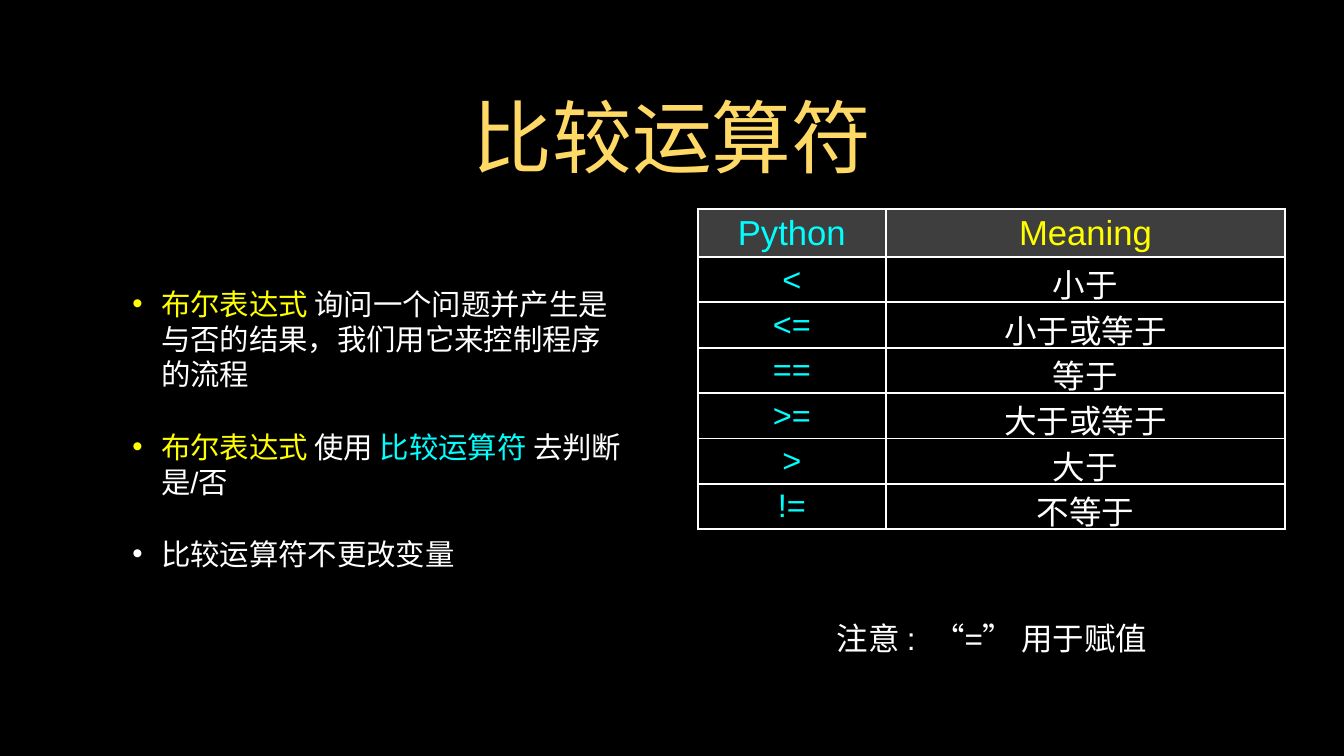
from lxml.etree import SubElement
from pptx import Presentation
from pptx.dml.color import RGBColor
from pptx.enum.shapes import MSO_SHAPE as Shape
from pptx.enum.text import MSO_ANCHOR as Anchor, PP_ALIGN as Align
from pptx.oxml import parse_xml
from pptx.oxml.ns import nsdecls, qn
from pptx.util import Inches, Pt

BLACK = RGBColor(0x00, 0x00, 0x00)
WHITE = RGBColor(0xFF, 0xFF, 0xFF)
GOLD = RGBColor(0xFF, 0xD9, 0x66)
YELLOW = RGBColor(0xFF, 0xFF, 0x00)
CYAN = RGBColor(0x00, 0xFF, 0xFF)
GRAY = RGBColor(0x7F, 0x7F, 0x7F)

FONT = "Arial"
INSET = 0.04

BULLETS = [
    [("布尔表达式 ", YELLOW), ("询问一个问题并产生是与否的结果，我们用它来控制程序的流程", WHITE)],
    [("布尔表达式", YELLOW), (" 使用 ", WHITE), ("比较运算符", CYAN), (" 去判断是/否", WHITE)],
    [("比较运算符不更改变量", WHITE)],
]
OPERATORS = [
    ("Python", "Meaning"),
    ("<", "小于"),
    ("<=", "小于或等于"),
    (" == ", "等于"),
    (">=", "大于或等于"),
    (">", "大于"),
    ("!=", "不等于"),
]


def style_span(span, size, color):
    """Set the font, size and colour of a run."""
    span.font.name = FONT
    span.font.size = Pt(size)
    span.font.color.rgb = color


def set_insets(target, inset):
    """Give a text frame or table cell four equal margins."""
    target.margin_left = target.margin_right = Inches(inset)
    target.margin_top = target.margin_bottom = Inches(inset)


def add_footer_band(page, box):
    """Place the plain black band along the foot of the slide."""
    band = page.shapes.add_shape(Shape.RECTANGLE, *map(Inches, box))
    band.shadow.inherit = False
    band.fill.solid()
    band.fill.fore_color.rgb = BLACK
    band.line.fill.background()


def add_frame(page, box, inset):
    """Add a wrapping, vertically centred text box and return its frame."""
    frame = page.shapes.add_textbox(*map(Inches, box)).text_frame
    frame.word_wrap = True
    frame.vertical_anchor = Anchor.MIDDLE
    set_insets(frame, inset)
    return frame


def add_line(page, box, text, size, color, inset):
    """Add one centred line of text in the box."""
    frame = add_frame(page, box, inset)
    frame.text = text
    para = frame.paragraphs[0]
    para.alignment = Align.CENTER
    style_span(para.runs[0], size, color)


def add_bullet_mark(para, color):
    """Give a paragraph a hanging indent and a coloured bullet."""
    props = para._p.get_or_add_pPr()
    props.set("marL", str(Inches(0.82)))
    props.set("indent", str(Inches(-0.38)))
    SubElement(SubElement(props, qn("a:buClr")), qn("a:srgbClr"), val=str(color))
    SubElement(props, qn("a:buFont"), typeface=FONT)
    SubElement(props, qn("a:buChar"), char="•")


def add_bullets(page, box):
    """Place the bulleted explanation in the box."""
    frame = add_frame(page, box, INSET)
    for index, spans in enumerate(BULLETS):
        para = frame.add_paragraph() if index else frame.paragraphs[0]
        para.space_before = Pt(35 if index else 0)
        add_bullet_mark(para, spans[0][1])
        for text, color in spans:
            span = para.add_run()
            span.text = text
            style_span(span, 28, color)


def add_borders(cell):
    """Draw a white line on every side of a cell."""
    props = cell._tc.get_or_add_tcPr()
    for index, side in enumerate("LRTB"):
        props.insert(index, parse_xml(
            f'<a:ln{side} {nsdecls("a")} w="{Pt(2)}"><a:solidFill>'
            f'<a:srgbClr val="{WHITE}"/></a:solidFill></a:ln{side}>'))


def fill_header(cell):
    """Fill a header cell with translucent gray."""
    cell.fill.solid()
    cell.fill.fore_color.rgb = GRAY
    tint = cell._tc.tcPr.find(qn("a:solidFill")).find(qn("a:srgbClr"))
    SubElement(tint, qn("a:alpha"), val="49000")


def add_operator_table(page, box):
    """Place the table of operators and meanings in the box."""
    table = page.shapes.add_table(len(OPERATORS), 2, *map(Inches, box)).table
    table.first_row = table.horz_banding = False
    for column, width in zip(table.columns, (2.49, 5.28)):
        column.width = Inches(width)
    for index, texts in enumerate(OPERATORS):
        is_header = index == 0
        table.rows[index].height = Inches(0.63 if is_header else 0.6)
        colors = (CYAN, YELLOW if is_header else WHITE)
        for cell, text, color in zip(table.rows[index].cells, texts, colors):
            cell.text = text
            cell.vertical_anchor = Anchor.MIDDLE
            set_insets(cell, INSET)
            para = cell.text_frame.paragraphs[0]
            para.alignment = Align.CENTER
            style_span(para.runs[0], 33 if is_header else 31, color)
            add_borders(cell)
            if is_header:
                fill_header(cell)
            else:
                cell.fill.background()


def main():
    """Build the comparison operators slide and save it."""
    deck = Presentation()
    deck.slide_width, deck.slide_height = Inches(17.78), Inches(10)
    page = deck.slides.add_slide(deck.slide_layouts[6])
    page.background.fill.solid()
    page.background.fill.fore_color.rgb = BLACK
    add_footer_band(page, (0, 9.14, 17.78, 0.86))
    add_line(page, (1.27, 0.82, 15.24, 1.96), "比较运算符", 76, GOLD, INSET)
    add_bullets(page, (1.27, 2.85, 7.05, 5.64))
    add_line(page, (9.41, 8.15, 7.43, 0.58), "注意 :  “=” 用于赋值", 30, WHITE, 0)
    add_operator_table(page, (9.23, 2.77, 7.77, 4.23))
    deck.save("out.pptx")


if __name__ == "__main__":
    main()
